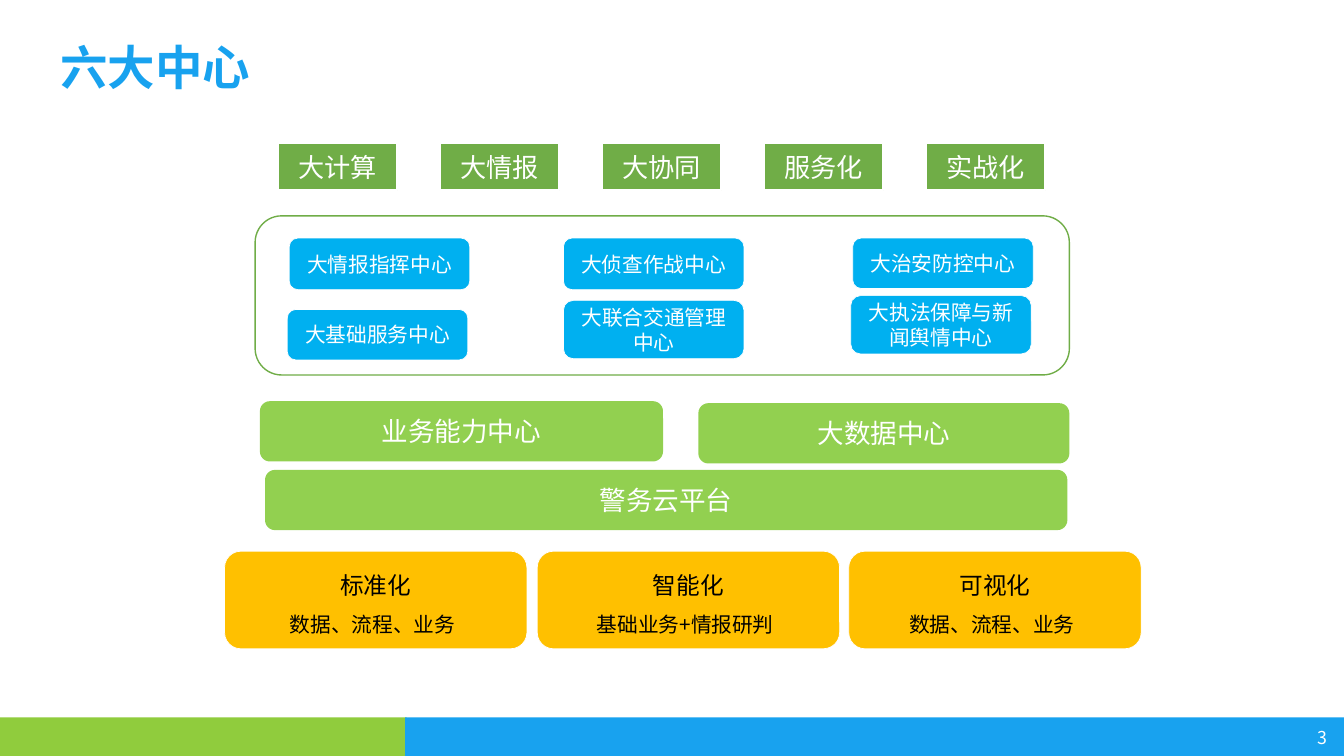
from lxml import etree
from pptx import Presentation
from pptx.dml.color import RGBColor
from pptx.enum import shapes, text
from pptx.oxml import ns
from pptx.util import Cm, Pt

FONT = "Noto Sans CJK SC"
WHITE = RGBColor(0xFF, 0xFF, 0xFF)
BLACK = RGBColor(0, 0, 0)
BRAND_BLUE = RGBColor(0x18, 0xA2, 0xEF)
BRAND_GREEN = RGBColor(0x90, 0xCC, 0x3D)
TAG_GREEN = RGBColor(0x70, 0xAD, 0x47)
CENTER_BLUE = RGBColor(0x00, 0xB0, 0xF0)
PLATFORM_GREEN = RGBColor(0x92, 0xD0, 0x50)
PILLAR_GOLD = RGBColor(0xFF, 0xC0, 0x00)

RECT = shapes.MSO_SHAPE.RECTANGLE
ROUNDED = shapes.MSO_SHAPE.ROUNDED_RECTANGLE
LEFT, CENTER, RIGHT = text.PP_ALIGN.LEFT, text.PP_ALIGN.CENTER, text.PP_ALIGN.RIGHT

WIDTH, HEIGHT = 33.87, 19.05


def write(frame, words, size, color, align=CENTER, bold=False):
    frame.word_wrap = True
    line = frame.paragraphs[0]
    line.text = words
    line.alignment = align
    font = line.font
    font.name, font.size, font.bold = FONT, Pt(size), bold
    font.color.rgb = color
    # East Asian glyphs take their typeface from a:ea
    defaults = line._p.pPr.find(ns.qn("a:defRPr"))
    etree.SubElement(defaults, ns.qn("a:ea"), typeface=FONT)


def add_label(parent, box, words, size, color, align=CENTER, bold=False):
    label = parent.shapes.add_textbox(*map(Cm, box))
    write(label.text_frame, words, size, color, align, bold)
    return label


def add_block(parent, kind, box, fill, outline=None, outline_width=0.5):
    block = parent.shapes.add_shape(kind, *map(Cm, box))
    block.shadow.inherit = False
    block.fill.solid()
    block.fill.fore_color.rgb = fill
    if outline is None:
        block.line.fill.background()
    else:
        block.line.color.rgb = outline
        block.line.width = Pt(outline_width)
    return block


def write_in_block(block, words, size, side=0.28):
    frame = block.text_frame
    frame.margin_left = frame.margin_right = Cm(side)
    frame.vertical_anchor = text.MSO_ANCHOR.MIDDLE
    write(frame, words, size, WHITE)


def add_footer(slide, top, green_width, page):
    height = HEIGHT - top
    add_block(slide, RECT, (0, top, green_width, height), BRAND_GREEN)
    add_block(slide, RECT, (green_width - 0.04, top, WIDTH - green_width + 0.04, height), BRAND_BLUE)
    number = add_label(slide, (30.07, top + 0.06, 3.71, 0.89), page, 12.7, WHITE, RIGHT)
    frame = number.text_frame
    frame.margin_left = frame.margin_right = Cm(0.33)
    frame.margin_top = frame.margin_bottom = Cm(0.18)


def add_tags(slide, left, top, width, height, tags):
    tag_width = 3.0
    pitch = (width - tag_width) / (len(tags) - 1)
    for i, tag in enumerate(tags):
        box = (left + i * pitch, top, tag_width, height)
        write_in_block(add_block(slide, RECT, box, TAG_GREEN, WHITE, 1.5), tag, 18.7, 0.25)


def add_centers(slide, left, top, width, height, centers):
    """Framed panel; each center gives its offset in the panel and its height."""
    add_block(slide, ROUNDED, (left, top, width, height), WHITE, TAG_GREEN, 1)
    for name, dx, dy, center_height in centers:
        box = (left + dx, top + dy, 4.55, center_height)
        write_in_block(add_block(slide, ROUNDED, box, CENTER_BLUE, WHITE), name, 14.8)


def add_platform(slide, left, top, width, height, name):
    box = (left, top, width, height)
    write_in_block(add_block(slide, ROUNDED, box, PLATFORM_GREEN), name, 19)


def add_pillar(slide, left, top, width, height, heading, detail):
    pillar = slide.shapes.add_group_shape()
    add_block(pillar, ROUNDED, (left, top, width, height), PILLAR_GOLD, WHITE)
    add_label(pillar, (left + width / 4, top + 0.38, width / 2, 0.99), heading, 16.9, BLACK)
    add_label(pillar, (left - 0.08, top + 1.4, width, 0.89), detail, 14.8, BLACK)


def main():
    deck = Presentation()
    deck.slide_width, deck.slide_height = Cm(WIDTH), Cm(HEIGHT)
    slide = deck.slides.add_slide(deck.slide_layouts[6])

    add_footer(slide, 18.08, 10.25, "3")
    add_label(slide, (1.27, 0.84, 11.91, 1.7), "六大中心", 33.9, BRAND_BLUE, LEFT, bold=True)
    add_tags(slide, 7.01, 3.61, 19.33, 1.19, ["大计算", "大情报", "大协同", "服务化", "实战化"])
    add_centers(slide, 6.43, 5.44, 20.52, 4.01, [
        ("大情报指挥中心", 0.86, 0.56, 1.3),
        ("大侦查作战中心", 7.77, 0.56, 1.3),
        ("大治安防控中心", 15.06, 0.56, 1.27),
        ("大基础服务中心", 0.81, 2.36, 1.27),
        ("大联合交通管理中心", 7.77, 2.13, 1.47),
        ("大执法保障与新闻舆情中心", 15.01, 2.01, 1.47),
    ])
    for left, top, width, name in [
        (6.55, 10.11, 10.16, "业务能力中心"),
        (17.6, 10.16, 9.35, "大数据中心"),
        (6.68, 11.84, 20.22, "警务云平台"),
    ]:
        add_platform(slide, left, top, width, 1.52, name)
    for left, width, heading, detail in [
        (5.66, 7.62, "标准化", "数据、流程、业务"),
        (13.54, 7.62, "智能化", "基础业务+情报研判"),
        (21.39, 7.37, "可视化", "数据、流程、业务"),
    ]:
        add_pillar(slide, left, 13.89, width, 2.46, heading, detail)

    deck.save("out.pptx")


if __name__ == "__main__":
    main()
